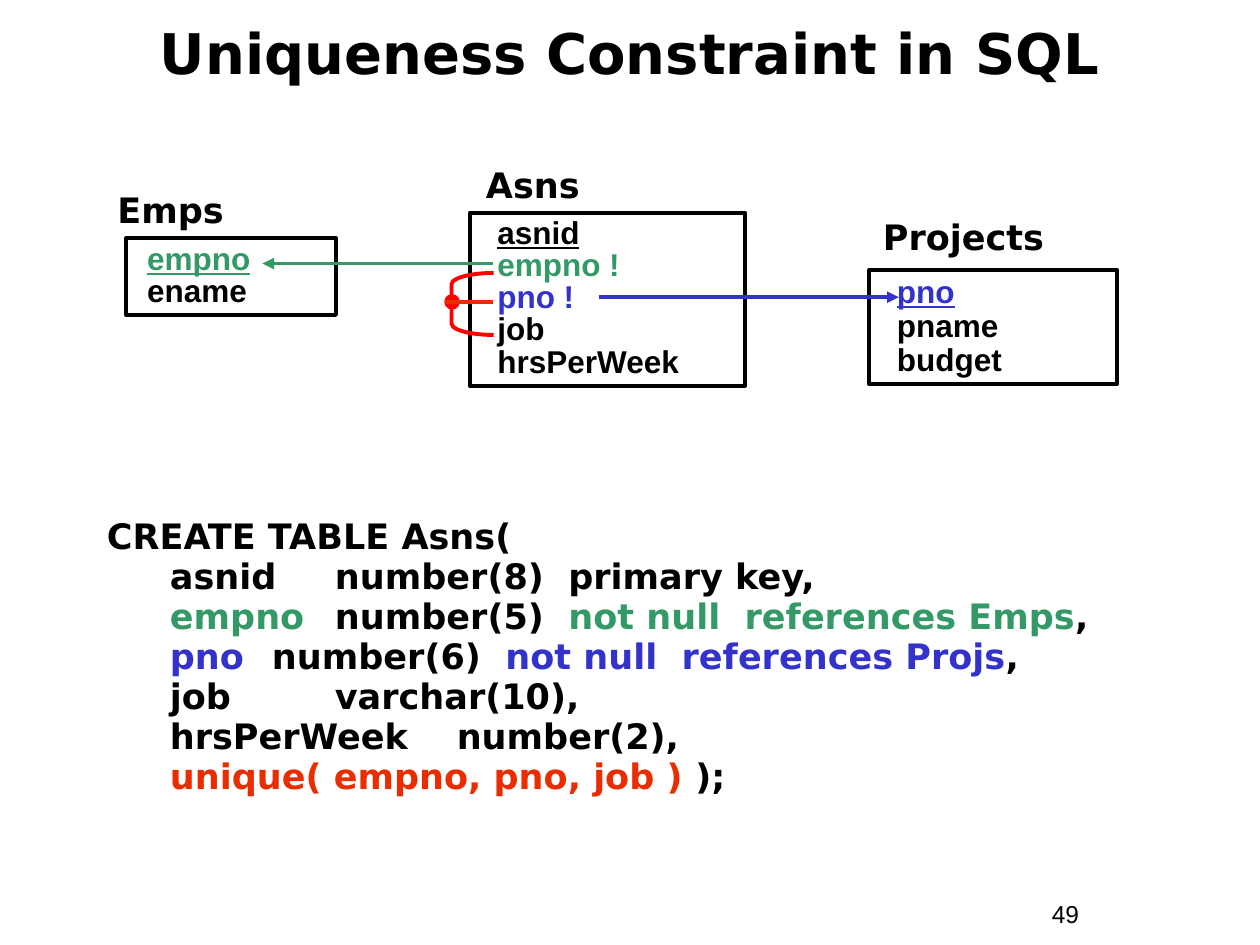
import pptx
import pptx.util
import pptx.dml.color
import pptx.enum.shapes
import pptx.enum.text
import pptx.oxml.ns
import lxml.etree

THEME = {
    "black": "000000", "green": "339966", "blue": "3333CC",
    "orange": "EA2D00", "red": "FF0000",
    "heading": "DejaVu Sans", "body": "Arial",
    "title": 32, "label": 20, "field": 18, "number": 14, "line": 2.25,
}
COLUMNS, ROWS = 120, 90
WIDTH, HEIGHT = pptx.util.Inches(10), pptx.util.Inches(7.5)

TITLE = "Uniqueness Constraint in SQL"
PAGE_NUMBER = "49"
TABLES = [
    {"name": "Asns", "label": (45.1, 15, 17.3), "box": (44.75, 20.25, 26.2, 16.5),
     "indent": 0.12, "spacing": 0.85,
     "fields": [("asnid", "black", True), ("empno !", "green", False),
                ("pno !", "blue", False), ("job", "black", False),
                ("hrsPerWeek", "black", False)]},
    {"name": "Projects", "label": (82.9, 19.9, 25.8), "box": (82.8, 25.7, 23.6, 10.9),
     "indent": 0.12, "spacing": 0.9,
     "fields": [("pno", "blue", True), ("pname", "black", False),
                ("budget", "black", False)]},
    {"name": "Emps", "label": (10, 17.4, 25.8), "box": (12, 22.7, 20, 7.3),
     "indent": 0.07, "spacing": 0.85,
     "fields": [("empno", "green", True), ("ename", "black", False)]},
]
CODE = [
    [("CREATE TABLE Asns(", "black")],
    [("asnid\tnumber(8)  primary key,", "black")],
    [("empno\t", "green"), ("number(5)  ", "black"),
     ("not null  references Emps", "green"), (",", "black")],
    [("pno\t", "blue"), ("number(6)  ", "black"),
     ("not null  references Projs", "blue"), (",", "black")],
    [("job\t\tvarchar(10),", "black")],
    [("hrsPerWeek    number(2),", "black")],
    [("unique( empno, pno, job )", "orange"), (" );", "black")],
]
ARROWS = [((47, 25.1), (25, 25.1), "green"), ((57, 28.3), (85.6, 28.3), "blue")]
BRACKET = (43, 26, 4, 5.9)
DOT = (42.5, 28.2, 1.1, 1.1)
STEM = ((42.4, 28.8), (47, 28.8), "orange")


def place(*cells):
    return [int(cell * (HEIGHT / ROWS if index % 2 else WIDTH / COLUMNS))
            for index, cell in enumerate(cells)]


def color(name):
    return pptx.dml.color.RGBColor.from_string(THEME[name])


def add_element(parent, tag, **attributes):
    return lxml.etree.SubElement(parent, pptx.oxml.ns.qn(tag), attributes)


def set_line(shape, name):
    shape.line.color.rgb = color(name)
    shape.line.width = pptx.util.Pt(THEME["line"])


def add_box(page, cells):
    box = page.shapes.add_textbox(*place(*cells))
    box.text_frame.word_wrap = True
    return box


def style(para, face, size, bold=True, name="black"):
    para.font.name = THEME[face]
    para.font.size = pptx.util.Pt(THEME[size])
    para.font.bold = bold
    para.font.color.rgb = color(name)


def set_indent(para, left, first=0):
    properties = para._p.get_or_add_pPr()
    properties.set("marL", str(pptx.util.Inches(left)))
    properties.set("indent", str(pptx.util.Inches(first)))
    return properties


def next_para(frame, index):
    return frame.add_paragraph() if index else frame.paragraphs[0]


def add_table_box(page, table):
    label = add_box(page, (*table["label"], 5.3)).text_frame.paragraphs[0]
    label.text = table["name"]
    style(label, "heading", "label")

    box = page.shapes.add_shape(
        pptx.enum.shapes.MSO_SHAPE.RECTANGLE, *place(*table["box"]))
    box.shadow.inherit = False
    box.fill.background()
    set_line(box, "black")
    frame = box.text_frame
    frame.vertical_anchor = pptx.enum.text.MSO_ANCHOR.TOP
    for index, (field, name, is_key) in enumerate(table["fields"]):
        para = next_para(frame, index)
        para.text = field
        para.alignment = pptx.enum.text.PP_ALIGN.LEFT
        para.line_spacing = table["spacing"]
        set_indent(para, table["indent"])
        style(para, "body", "field", name=name)
        para.font.underline = is_key


def add_code(page):
    frame = add_box(page, (9, 49, 104, 27.5)).text_frame
    for index, spans in enumerate(CODE):
        para = next_para(frame, index)
        if index:
            properties = set_indent(para, 0.81, -0.31)
            para.level = 1
        else:
            properties = set_indent(para, 0.38, -0.38)
        stops = add_element(properties, "a:tabLst")
        for inch in range(8):
            add_element(stops, "a:tab", pos=str(pptx.util.Inches(inch)), algn="l")
        para.line_spacing = 0.85
        if index:
            para.space_before = pptx.util.Pt(2.5)
        style(para, "heading", "label")
        for text, name in spans:
            span = para.add_run()
            span.text = text
            span.font.color.rgb = color(name)


def add_line(page, start, end, name, arrow=False):
    line = page.shapes.add_connector(
        pptx.enum.shapes.MSO_CONNECTOR.STRAIGHT, *place(*start, *end))
    set_line(line, name)
    if arrow:
        add_element(line.line._get_or_add_ln(), "a:tailEnd", type="triangle")
    add_element(line._element.spPr, "a:effectLst")


def add_constraint(page):
    bracket = page.shapes.add_shape(
        pptx.enum.shapes.MSO_SHAPE.LEFT_BRACKET, *place(*BRACKET))
    bracket.adjustments[0] = 0.27
    bracket.fill.background()
    dot = page.shapes.add_shape(pptx.enum.shapes.MSO_SHAPE.OVAL, *place(*DOT))
    dot.fill.solid()
    dot.fill.fore_color.rgb = color("red")
    for shape in (bracket, dot):
        shape.shadow.inherit = False
        set_line(shape, "red")
    add_line(page, *STEM)


def main():
    deck = pptx.Presentation()
    deck.slide_width, deck.slide_height = WIDTH, HEIGHT
    page = deck.slides.add_slide(deck.slide_layouts[6])

    number = add_box(page, (99, 85, 11, 4)).text_frame.paragraphs[0]
    number.text = PAGE_NUMBER
    style(number, "body", "number", bold=False)

    frame = add_box(page, (4, 1, 112, 9)).text_frame
    frame.vertical_anchor = pptx.enum.text.MSO_ANCHOR.MIDDLE
    title = frame.paragraphs[0]
    title.text = TITLE
    title.alignment = pptx.enum.text.PP_ALIGN.CENTER
    title.line_spacing = 0.85
    style(title, "heading", "title")

    add_code(page)
    for table in TABLES:
        add_table_box(page, table)
    for start, end, name in ARROWS:
        add_line(page, start, end, name, arrow=True)
    add_constraint(page)
    deck.save("out.pptx")


if __name__ == "__main__":
    main()
